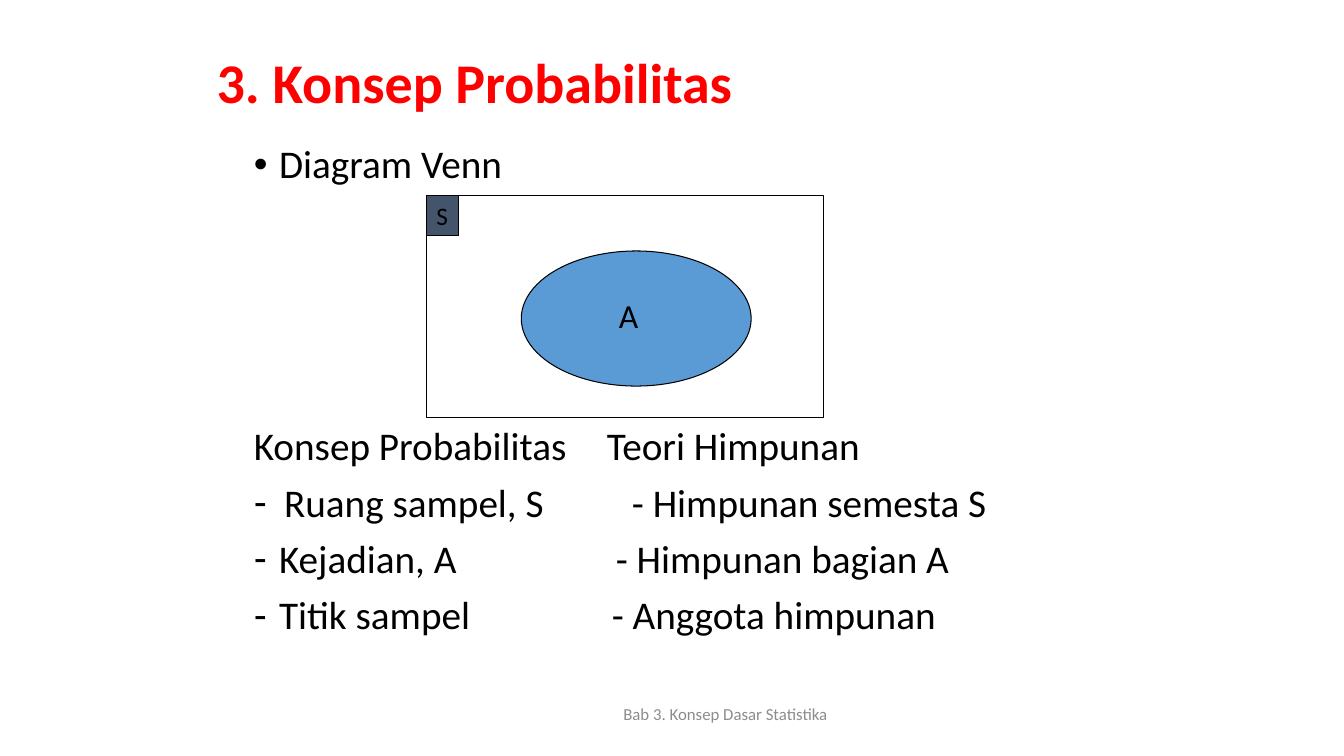
from pptx import Presentation
from pptx.dml.color import RGBColor as RGB
from pptx.enum.shapes import MSO_SHAPE as SHAPE
from pptx.enum.text import MSO_ANCHOR as ANCHOR, PP_ALIGN as ALIGN
from pptx.oxml.ns import qn
from pptx.util import Inches, Pt
from lxml.etree import SubElement

BLACK = RGB(0, 0, 0)
RED = RGB(255, 0, 0)
GREY = RGB(0x8C, 0x8C, 0x8C)
BLUE = RGB(0x5B, 0x9B, 0xD5)
SLATE = RGB(0x44, 0x54, 0x6A)

TITLE = "3. Konsep Probabilitas"
FOOTER = "Bab 3. Konsep Dasar Statistika"
# text, bullet, indent, tab stop, space before
ROWS = [
    ("Diagram Venn", "•", 0.25, None, 0),
    ("Konsep Probabilitas\tTeori Himpunan", None, 0, 3.89, 171),
    ("Ruang sampel, S\t- Himpunan semesta S", "-", 0.3, 3.75, 10),
    ("Kejadian, A\t- Himpunan bagian A", "-", 0.25, 3.59, 10),
    ("Titik sampel\t- Anggota himpunan", "-", 0.25, 3.55, 10),
]
VENN = [
    (SHAPE.RECTANGLE, (4.23, 1.94, 3.94, 2.2), None),
    (SHAPE.OVAL, (5.17, 2.49, 2.28, 1.34), BLUE),
    (SHAPE.RECTANGLE, (4.23, 1.94, 0.32, 0.4), SLATE),
]

deck = Presentation()
deck.slide_width, deck.slide_height = Inches(13.33), Inches(7.5)
slide = deck.slides.add_slide(deck.slide_layouts[6])


def style(para, size, color=BLACK, bold=False):
    font = para.font
    font.name, font.size, font.bold = "Calibri", Pt(size), bold
    font.color.rgb = color


def add_box(place, anchor=ANCHOR.TOP):
    box = slide.shapes.add_textbox(*map(Inches, place))
    frame = box.text_frame
    frame.word_wrap = True
    frame.vertical_anchor = anchor
    return frame


def add_text(frame, text, size, color=BLACK, bold=False, align=ALIGN.LEFT):
    para = frame.paragraphs[0]
    para.text, para.alignment = text, align
    style(para, size, color, bold)
    return para


def set_list(para, mark, indent, tab):
    props = para._p.get_or_add_pPr()
    props.set("marL", str(Inches(indent)))
    props.set("indent", str(-Inches(indent)))
    if mark:
        SubElement(props, qn("a:buFont"), typeface="Arial")
        SubElement(props, qn("a:buChar"), char=mark)
    else:
        SubElement(props, qn("a:buNone"))
    if tab:
        tabs = SubElement(props, qn("a:tabLst"))
        SubElement(tabs, qn("a:tab"), pos=str(Inches(tab)), algn="l")


add_text(add_box((4.57, 6.83, 5.25, 0.5), ANCHOR.MIDDLE), FOOTER, 12, GREY,
         align=ALIGN.CENTER)
title = add_text(add_box((2.05, 0.28, 10.02, 1.14), ANCHOR.MIDDLE), TITLE, 40, RED, True)
title.line_spacing = 0.9

body = add_box((2.42, 1.39, 8.66, 5.36))
for i, (text, mark, indent, tab, gap) in enumerate(ROWS):
    para = body.add_paragraph() if i else body.paragraphs[0]
    para.text = text
    para.line_spacing = 0.9
    if gap:
        para.space_before = Pt(gap)
    set_list(para, mark, indent, tab)
    style(para, 28)

for kind, place, fill in VENN:
    shape = slide.shapes.add_shape(kind, *map(Inches, place))
    shape.shadow.inherit = False
    shape.line.color.rgb, shape.line.width = BLACK, Pt(0.75)
    if fill:
        shape.fill.solid()
        shape.fill.fore_color.rgb = fill
    else:
        shape.fill.background()

label = shape.text_frame
label.word_wrap = False
label.vertical_anchor = ANCHOR.TOP
add_text(label, "S", 18)
add_text(add_box((6.04, 2.88, 0.47, 0.5)), "A", 24)

deck.save("out.pptx")
